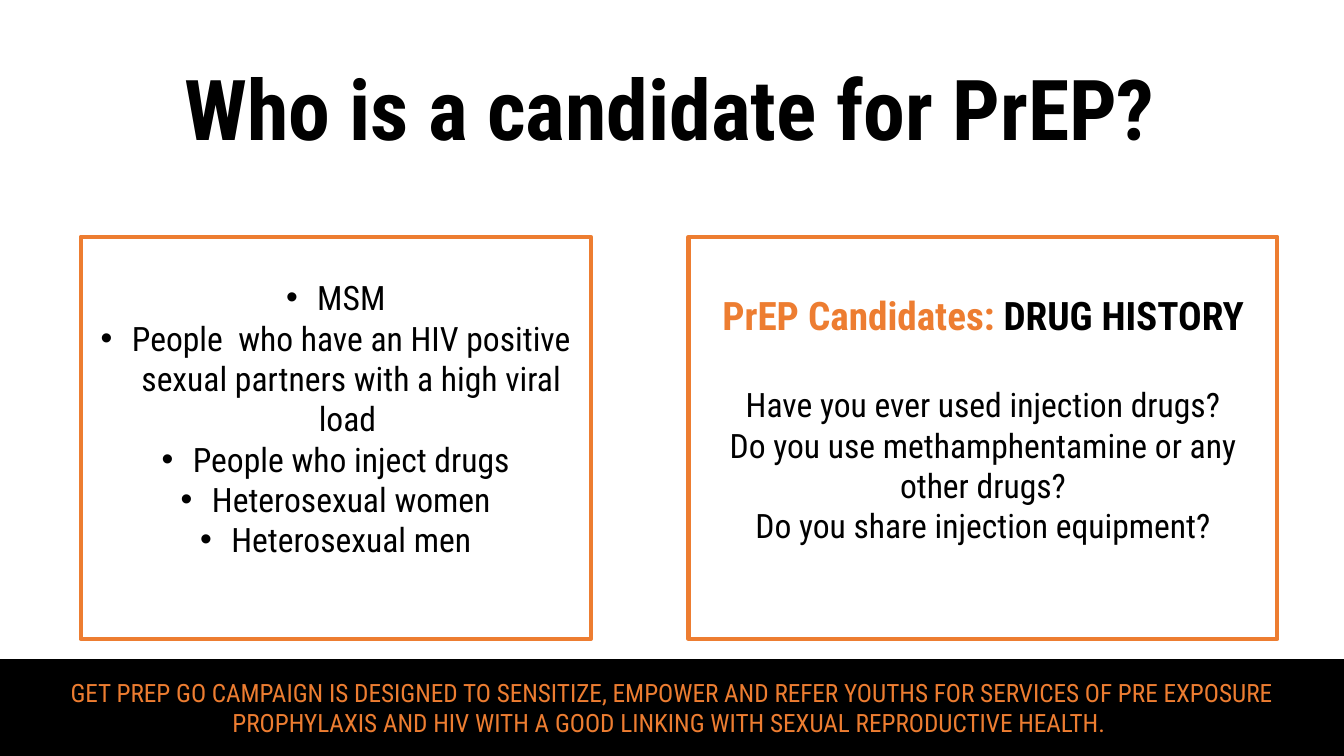
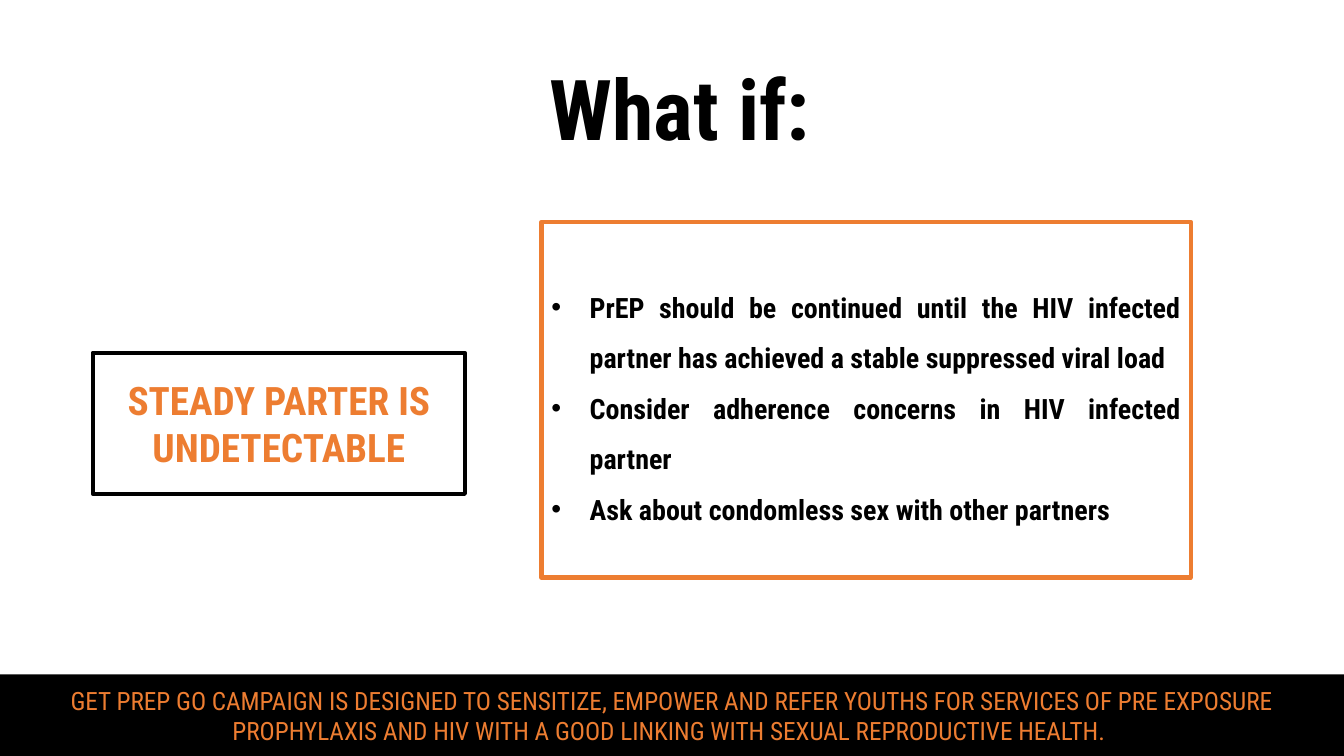
from lxml import etree
from pptx import Presentation
from pptx import util as u
from pptx.dml.color import RGBColor
from pptx.enum import shapes, text
from pptx.oxml.ns import qn

FONT = "Roboto Condensed"
BLACK, ORANGE = "000000", "ED7D31"
CENTER, JUSTIFY = text.PP_ALIGN.CENTER, text.PP_ALIGN.JUSTIFY

FOOTER = (
    "GET PREP GO CAMPAIGN IS DESIGNED TO SENSITIZE, EMPOWER AND REFER YOUTHS "
    "FOR SERVICES OF PRE EXPOSURE PROPHYLAXIS AND HIV WITH A GOOD LINKING WITH "
    "SEXUAL REPRODUCTIVE HEALTH. "
)
SLIDE_WIDTH, SLIDE_HEIGHT = 13.33, 7.5
TITLE_AREA = (0.8, 0.4, 11.88, 1.45)
CARD_TOP, CARD_HEIGHT = 2.35, 3.99
CARD_BOTTOM_INSET = 0.44

# Run styles: size, colour, bold
TITLE = (60, BLACK, True)
FOOTNOTE = (18, ORANGE, False)
BODY = (24, BLACK, False)
HEADING = (28, BLACK, True)
ACCENT = (28, ORANGE, True)
ADVICE = (20, BLACK, True)

# Paragraph formats
CENTERED = {"alignment": CENTER}
TITLE_FORMAT = {"alignment": CENTER, "line_spacing": 0.9}
HEADING_FORMAT = {"alignment": CENTER, "space_after": u.Pt(33)}
ADVICE_FORMAT = {"alignment": JUSTIFY, "line_spacing": 1.5}

CANDIDATES = [
    "MSM",
    "People  who have an HIV positive sexual partners with a high viral load ",
    "People who inject drugs",
    "Heterosexual women",
    "Heterosexual men",
]
DRUG_QUESTIONS = [
    "Have you ever used injection drugs?",
    "Do you use methamphentamine or any other drugs?",
    "Do you share injection equipment?",
]
DRUG_HEADING = [("PrEP Candidates: ", ACCENT), ("DRUG HISTORY", HEADING)]
PARTNER_ADVICE = [
    "PrEP should be continued until the HIV infected partner has achieved a "
    "stable suppressed viral load",
    "Consider adherence concerns in HIV infected partner",
    "Ask about condomless sex with other partners",
]


def lines(items, style, formats=CENTERED, indent=0):
    """Turn strings into (runs, paragraph formats, bullet indent) tuples."""
    return [([(item, style)], formats, indent) for item in items]


SLIDES = [
    {
        "title": "Who is a candidate for PrEP? ",
        "footer_height": 0.96,
        "boxes": [
            {
                "area": (0.8, CARD_TOP, 5.06, CARD_HEIGHT),
                "outline": ORANGE,
                "bottom_inset": CARD_BOTTOM_INSET,
                "paragraphs": lines(CANDIDATES, BODY, indent=0.31),
            },
            {
                "area": (6.83, CARD_TOP, 5.84, CARD_HEIGHT),
                "outline": ORANGE,
                "bottom_inset": CARD_BOTTOM_INSET,
                "paragraphs": [(DRUG_HEADING, HEADING_FORMAT, 0)]
                + lines(DRUG_QUESTIONS, BODY),
            },
        ],
    },
    {
        "title": "What if:",
        "footer_height": 0.81,
        "boxes": [
            {
                "area": (0.92, 3.5, 3.69, 1.4),
                "outline": BLACK,
                "paragraphs": lines(["STEADY PARTER IS UNDETECTABLE"], ACCENT),
            },
            {
                "area": (5.37, 2.2, 6.44, 3.53),
                "outline": ORANGE,
                "paragraphs": lines(PARTNER_ADVICE, ADVICE, ADVICE_FORMAT, 0.38),
            },
        ],
    },
]


def color(hex_value):
    return RGBColor.from_string(hex_value)


def set_attributes(target, values):
    for name, value in values.items():
        setattr(target, name, value)


def add_bullet(paragraph, indent):
    properties = paragraph._p.get_or_add_pPr()
    properties.set("marL", str(u.Inches(indent)))
    properties.set("indent", str(-u.Inches(indent)))
    etree.SubElement(properties, qn("a:buFont"), typeface="Arial")
    etree.SubElement(properties, qn("a:buChar"), char="•")


def write(shape, paragraphs, bottom_inset=0.05):
    frame = shape.text_frame
    set_attributes(frame, {
        "word_wrap": True,
        "vertical_anchor": text.MSO_ANCHOR.MIDDLE,
        "margin_bottom": u.Inches(bottom_inset),
    })
    for index, (runs, formats, indent) in enumerate(paragraphs):
        paragraph = frame.add_paragraph() if index else frame.paragraphs[0]
        if indent:
            add_bullet(paragraph, indent)
        set_attributes(paragraph, formats)
        for words, (size, hex_value, bold) in runs:
            run = paragraph.add_run()
            run.text = words
            set_attributes(run.font, {"name": FONT, "size": u.Pt(size), "bold": bold})
            run.font.color.rgb = color(hex_value)


def add_rectangle(slide, area, fill=None, outline=None):
    shape = slide.shapes.add_shape(
        shapes.MSO_SHAPE.RECTANGLE, *[u.Inches(length) for length in area]
    )
    shape.shadow.inherit = False
    if fill:
        shape.fill.solid()
        shape.fill.fore_color.rgb = color(fill)
    else:
        shape.fill.background()
    if outline:
        shape.line.color.rgb = color(outline)
        shape.line.width = u.Pt(3)
    else:
        shape.line.fill.background()
    return shape


def add_title(slide, words):
    box = slide.shapes.add_textbox(*[u.Inches(length) for length in TITLE_AREA])
    write(box, lines([words], TITLE, TITLE_FORMAT))


def add_footer(slide, height):
    area = (0, SLIDE_HEIGHT - height, SLIDE_WIDTH, height)
    write(add_rectangle(slide, area, fill=BLACK), lines([FOOTER], FOOTNOTE))


def main():
    presentation = Presentation()
    presentation.slide_width = u.Inches(SLIDE_WIDTH)
    presentation.slide_height = u.Inches(SLIDE_HEIGHT)
    for content in SLIDES:
        slide = presentation.slides.add_slide(presentation.slide_layouts[6])
        add_title(slide, content["title"])
        add_footer(slide, content["footer_height"])
        for box in content["boxes"]:
            shape = add_rectangle(slide, box["area"], outline=box["outline"])
            write(shape, box["paragraphs"], box.get("bottom_inset", 0.05))
    presentation.save("out.pptx")


if __name__ == "__main__":
    main()
